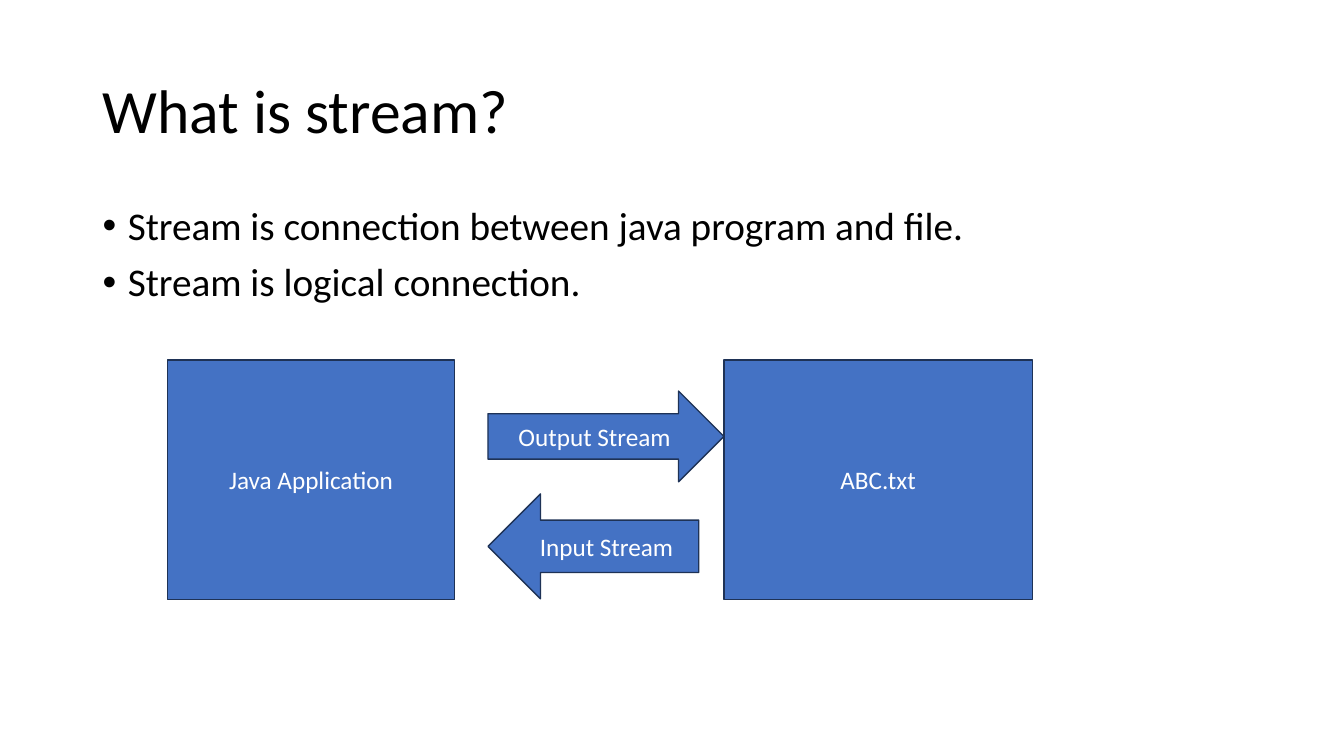
import pptx
import pptx.dml.color
import pptx.enum.shapes
import pptx.enum.text
import pptx.oxml.ns
import pptx.util
from lxml import etree
from pptx.util import Inches

BLACK = pptx.dml.color.RGBColor(0x00, 0x00, 0x00)
WHITE = pptx.dml.color.RGBColor(0xFF, 0xFF, 0xFF)
BLUE = pptx.dml.color.RGBColor(0x44, 0x72, 0xC4)
NAVY = pptx.dml.color.RGBColor(0x1E, 0x32, 0x56)

SHAPE = pptx.enum.shapes.MSO_SHAPE
ALIGN = pptx.enum.text.PP_ALIGN
ANCHOR = pptx.enum.text.MSO_ANCHOR


def write(frame, lines, size=18, color=WHITE, align=ALIGN.CENTER,
          anchor=ANCHOR.MIDDLE, spacing=1.0, before=0, bullet=False):
    frame.word_wrap = True
    frame.vertical_anchor = anchor
    for i, line in enumerate(lines):
        paragraph = frame.add_paragraph() if i else frame.paragraphs[0]
        paragraph.alignment = align
        paragraph.line_spacing = spacing
        paragraph.space_before = pptx.util.Pt(before)
        run = paragraph.add_run()
        run.text = line
        run.font.name = "Calibri"
        run.font.size = pptx.util.Pt(size)
        run.font.color.rgb = color
        if bullet:
            properties = paragraph._p.get_or_add_pPr()
            properties.set("marL", str(Inches(0.25)))
            properties.set("indent", str(Inches(-0.25)))
            font = etree.SubElement(properties, pptx.oxml.ns.qn("a:buFont"))
            font.set("typeface", "Arial")
            mark = etree.SubElement(properties, pptx.oxml.ns.qn("a:buChar"))
            mark.set("char", "•")


deck = pptx.Presentation()
deck.slide_width = Inches(13.33)
deck.slide_height = Inches(7.5)
slide = deck.slides.add_slide(deck.slide_layouts[6])

# Title
title = slide.shapes.add_textbox(Inches(0.92), Inches(0.4), Inches(11.5), Inches(1.45))
write(title.text_frame, ["What is stream?"], size=44, color=BLACK,
      align=ALIGN.LEFT, spacing=0.9)

# Definition bullets
definition = slide.shapes.add_textbox(Inches(0.92), Inches(2), Inches(11.5), Inches(4.76))
write(definition.text_frame,
      ["Stream is connection between java program and file.",
       "Stream is logical connection."],
      size=28, color=BLACK, align=ALIGN.LEFT, anchor=ANCHOR.TOP,
      spacing=0.9, before=10, bullet=True)

# Stream diagram: application and file, with an arrow each way
diagram = [
    (SHAPE.RECTANGLE, "Java Application", 1.66, 3.57, 2.85, 2.38),
    (SHAPE.RECTANGLE, "ABC.txt", 7.18, 3.57, 3.06, 2.38),
    (SHAPE.RIGHT_ARROW, "Output Stream", 4.84, 3.88, 2.34, 0.9),
    (SHAPE.LEFT_ARROW, "Input Stream", 4.84, 4.9, 2.09, 1.04),
]
for kind, label, left, top, width, height in diagram:
    part = slide.shapes.add_shape(kind, Inches(left), Inches(top),
                                  Inches(width), Inches(height))
    part.shadow.inherit = False
    part.fill.solid()
    part.fill.fore_color.rgb = BLUE
    part.line.color.rgb = NAVY
    part.line.width = pptx.util.Pt(1)
    write(part.text_frame, [label])

deck.save("out.pptx")
